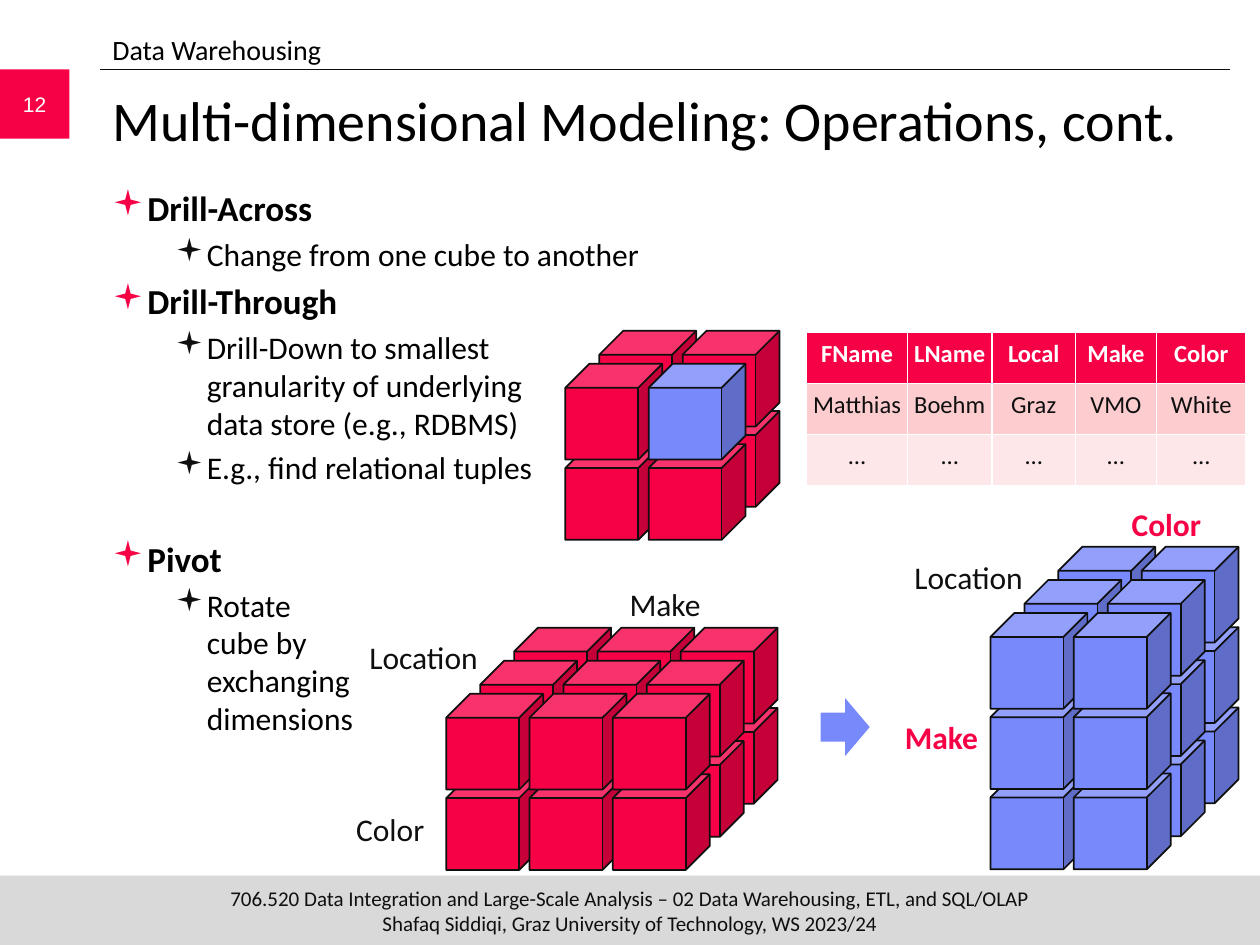
from dataclasses import dataclass
from itertools import product

from lxml import etree
from pptx import Presentation
from pptx import util as u
from pptx.dml.color import RGBColor
from pptx.enum import shapes, text
from pptx.oxml.ns import qn

RED, BLUE, INK, BLACK, WHITE, GRAY = "F70146", "7889FB", "0F0F0F", "000000", "FFFFFF", "D9D9D9"
FONT = "Calibri"
CUBE_WIDTH, CUBE_HEIGHT = 55.4, 54.7
COLUMN_STEP, ROW_STEP = 47.6, 45.9
LAYER_LEFT, LAYER_DOWN = 19.4, 18.9


@dataclass
class Bullet:
    wording: str
    level: int = 0
    space_before: float = 4


@dataclass
class CubeBlock:
    """A block of small cubes; left and top belong to the rearmost top cube."""
    left: float
    top: float
    columns: int
    rows: int
    layers: int
    color: str
    front_top_right: str


@dataclass
class Label:
    wording: str
    left: float
    top: float
    accented: bool = False


BULLETS = [
    Bullet("Drill-Across", space_before=0),
    Bullet("Change from one cube to another", 1, 3.6),
    Bullet("Drill-Through"),
    Bullet("Drill-Down to smallest\vgranularity of underlying\vdata store (e.g., RDBMS)", 1, 3.6),
    Bullet("E.g., find relational tuples", 1, 3.6),
    Bullet("Pivot", space_before=29.6),
    Bullet("Rotate\vcube by\vexchanging\vdimensions", 1, 3.6),
]
BLOCKS = [
    CubeBlock(342.5, 189, 2, 2, 2, RED, BLUE),
    CubeBlock(604.8, 312.5, 2, 3, 3, BLUE, BLUE),
    CubeBlock(293.8, 358.7, 3, 2, 3, RED, RED),
]
LABELS = [
    Label("Location", 207, 361), Label("Color", 188, 459.5), Label("Make", 345, 330.5),
    Label("Make", 503, 407, True), Label("Location", 518.5, 315.5), Label("Color", 631.5, 285, True),
]
TUPLES = [
    ("FName", "LName", "Local", "Make", "Color"),
    ("Matthias", "Boehm", "Graz", "VMO", "White"),
    ("…",) * 5,
]
ROW_FILLS = [RED, "FCCCCF", "FDE7E9"]
COLUMN_WIDTHS = [57.5, 48.5, 47.5, 46.5, 51]


def rgb(color: str) -> RGBColor:
    return RGBColor.from_string(color)


def style(paragraph, size: float, color: str, bold: bool = False, font: str = FONT) -> None:
    paragraph.font.name = font
    paragraph.font.size = u.Pt(size)
    paragraph.font.bold = bold
    paragraph.font.color.rgb = rgb(color)


def place(shape, left: float, top: float, width: float, height: float) -> None:
    shape.left, shape.top, shape.width, shape.height = map(u.Pt, (left, top, width, height))


def set_bullet(paragraph, color: str | None, margin: float, indent: float) -> None:
    """Set the indents and a square bullet, or no bullet when color is None."""
    properties = paragraph._p.get_or_add_pPr()
    properties.set("marL", str(u.Pt(margin)))
    properties.set("indent", str(u.Pt(indent)))
    if color is None:
        etree.SubElement(properties, qn("a:buNone"))
        return
    bullet_color = etree.SubElement(properties, qn("a:buClr"))
    etree.SubElement(bullet_color, qn("a:srgbClr"), val=color)
    etree.SubElement(properties, qn("a:buFont"), typeface="Wingdings")
    etree.SubElement(properties, qn("a:buChar"), char="▪")


def add_filled(parent, kind, left, top, width, height, color: str):
    shape = parent.add_shape(kind, *map(u.Pt, (left, top, width, height)))
    shape.shadow.inherit = False
    shape.fill.solid()
    shape.fill.fore_color.rgb = rgb(color)
    shape.line.fill.background()
    return shape


def add_band(slide, left, top, width, height, color, wording, ink, font=FONT) -> None:
    """Add a filled rectangle with centred text."""
    band = add_filled(slide.shapes, shapes.MSO_SHAPE.RECTANGLE, left, top, width, height, color)
    frame = band.text_frame
    frame.margin_left = frame.margin_right = frame.margin_top = frame.margin_bottom = 0
    frame.vertical_anchor = text.MSO_ANCHOR.MIDDLE
    paragraph = frame.paragraphs[0]
    paragraph.text = wording
    paragraph.alignment = text.PP_ALIGN.CENTER
    style(paragraph, 12, ink, font=font)


def add_header_rule(slide) -> None:
    rule = slide.shapes.add_connector(
        shapes.MSO_CONNECTOR.STRAIGHT, u.Pt(57), u.Pt(39.6), u.Pt(702.7), u.Pt(39.6))
    rule.line.color.rgb = rgb(INK)
    rule.line.width = u.Pt(0.5)
    etree.SubElement(rule._element.spPr, qn("a:effectLst"))


def fill_placeholders(slide) -> None:
    title, body, section = slide.placeholders
    place(title, 57, 45.4, 645, 60)
    place(body, 57, 103, 645, 389)
    place(section, 57, 15, 648, 26)
    for holder in (title, body, section):
        holder.text_frame.auto_size = text.MSO_AUTO_SIZE.NONE
        holder.text_frame.vertical_anchor = text.MSO_ANCHOR.TOP

    heading = title.text_frame.paragraphs[0]
    heading.text = "Multi-dimensional Modeling: Operations, cont."
    heading.alignment = text.PP_ALIGN.LEFT
    style(heading, 32, BLACK)

    section_name = section.text_frame.paragraphs[0]
    section_name.text = "Data Warehousing"
    section_name.space_before = u.Pt(0)
    set_bullet(section_name, None, 0, 0)
    style(section_name, 16, BLACK)

    for index, bullet in enumerate(BULLETS):
        frame = body.text_frame
        paragraph = frame.add_paragraph() if index else frame.paragraphs[0]
        paragraph.text = bullet.wording
        paragraph.level = bullet.level
        paragraph.space_before = u.Pt(bullet.space_before)
        set_bullet(paragraph, INK if bullet.level else RED, 18 + 36 * bullet.level, -18)
        style(paragraph, 20 - 2 * bullet.level, BLACK, bullet.level == 0)


def add_block(slide, block: CubeBlock) -> None:
    """Draw the cubes from back to front, bottom to top and left to right."""
    group = slide.shapes.add_group_shape()
    front_corner = (block.layers - 1, 0, block.columns - 1)
    for layer, row, column in product(
            range(block.layers), reversed(range(block.rows)), range(block.columns)):
        color = block.front_top_right if (layer, row, column) == front_corner else block.color
        cube = add_filled(
            group.shapes, shapes.MSO_SHAPE.CUBE,
            block.left + column * COLUMN_STEP - layer * LAYER_LEFT,
            block.top + row * ROW_STEP + layer * LAYER_DOWN,
            CUBE_WIDTH, CUBE_HEIGHT, color)
        cube.line.color.rgb = rgb(INK)
        cube.line.width = u.Pt(1)


def add_tuple_table(slide) -> None:
    table = slide.shapes.add_table(
        len(TUPLES), len(COLUMN_WIDTHS), u.Pt(461), u.Pt(190),
        u.Pt(sum(COLUMN_WIDTHS)), u.Pt(87.6)).table
    for column, width in zip(table.columns, COLUMN_WIDTHS):
        column.width = u.Pt(width)
    for row, (values, color) in enumerate(zip(TUPLES, ROW_FILLS)):
        for column, value in enumerate(values):
            cell = table.cell(row, column)
            cell.margin_left = cell.margin_right = 0
            cell.fill.solid()
            cell.fill.fore_color.rgb = rgb(color)
            paragraph = cell.text_frame.paragraphs[0]
            paragraph.text = value
            paragraph.alignment = text.PP_ALIGN.CENTER
            style(paragraph, 14, INK if row else WHITE, row == 0)


def add_label(slide, label: Label) -> None:
    frame = slide.shapes.add_textbox(*map(u.Pt, (label.left, label.top, 70, 29))).text_frame
    frame.word_wrap = True
    frame.margin_left = frame.margin_right = 0
    paragraph = frame.paragraphs[0]
    paragraph.text = label.wording
    paragraph.alignment = text.PP_ALIGN.CENTER
    style(paragraph, 18, RED if label.accented else INK, label.accented)


def main() -> None:
    deck = Presentation()
    deck.slide_width, deck.slide_height = u.Pt(720), u.Pt(540)
    slide = deck.slides.add_slide(deck.slide_layouts.get_by_name("Two Content"))
    fill_placeholders(slide)
    add_band(slide, 0, 500.4, 720, 39.6, GRAY,
             "706.520 Data Integration and Large-Scale Analysis – 02 Data Warehousing, ETL, and SQL/OLAP\v"
             "Shafaq Siddiqi, Graz University of Technology, WS 2023/24", INK)
    add_header_rule(slide)
    add_band(slide, 0, 39.6, 39.6, 39.6, RED, "12", WHITE, "Arial")
    for block in BLOCKS:
        add_block(slide, block)
    add_tuple_table(slide)
    add_filled(slide.shapes, shapes.MSO_SHAPE.RIGHT_ARROW, 469, 399, 28, 33, BLUE)
    for label in LABELS:
        add_label(slide, label)
    deck.save("out.pptx")


if __name__ == "__main__":
    main()
